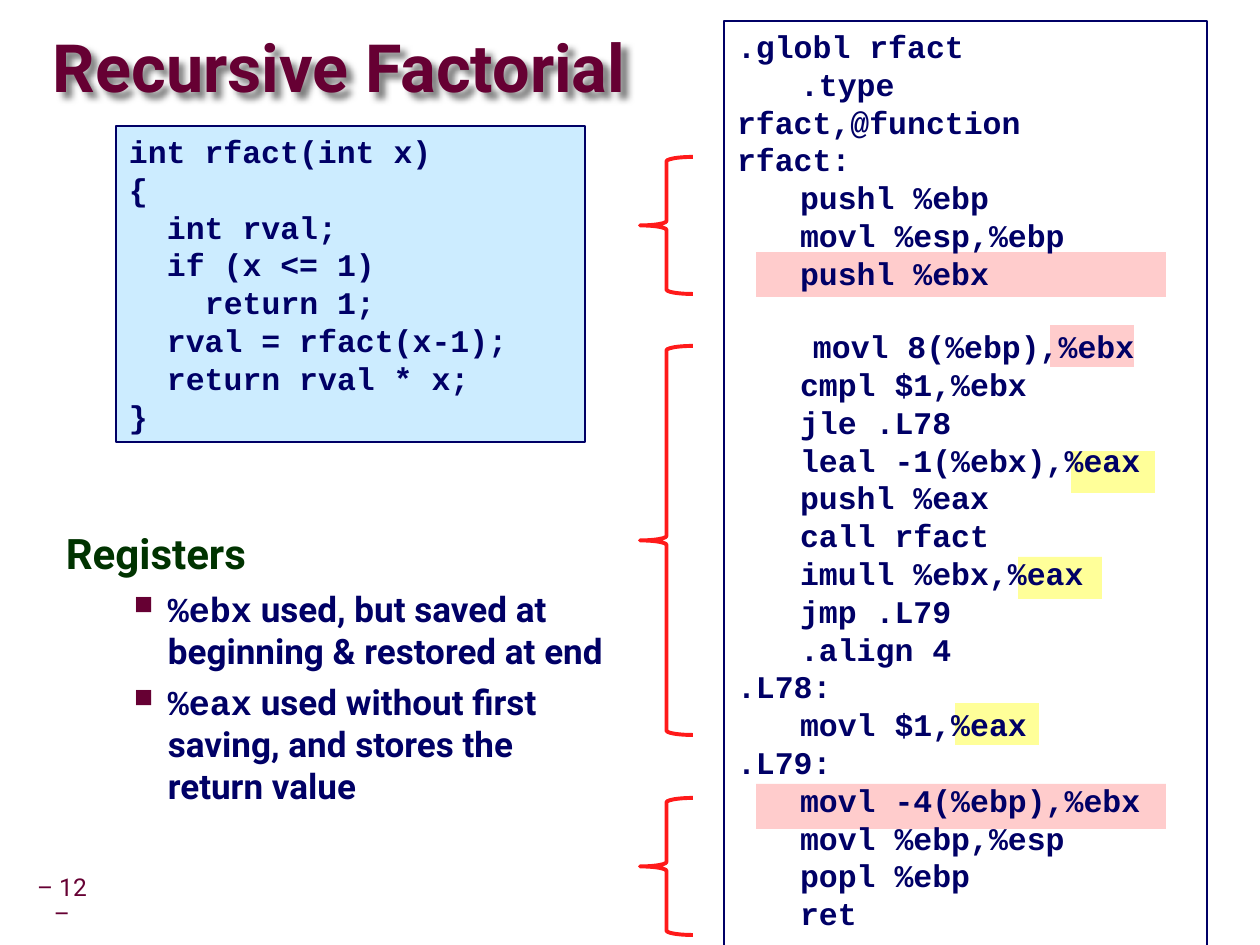
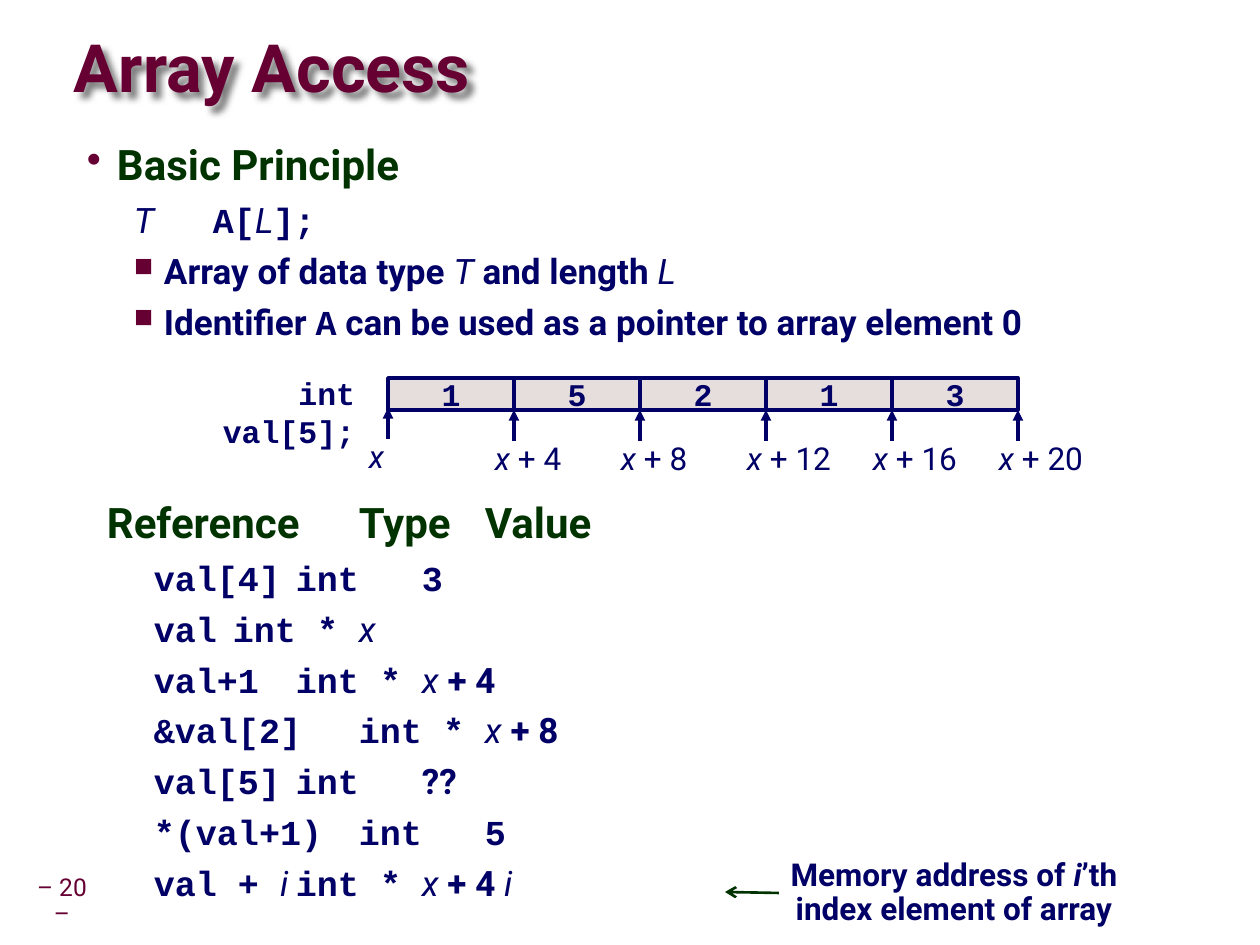
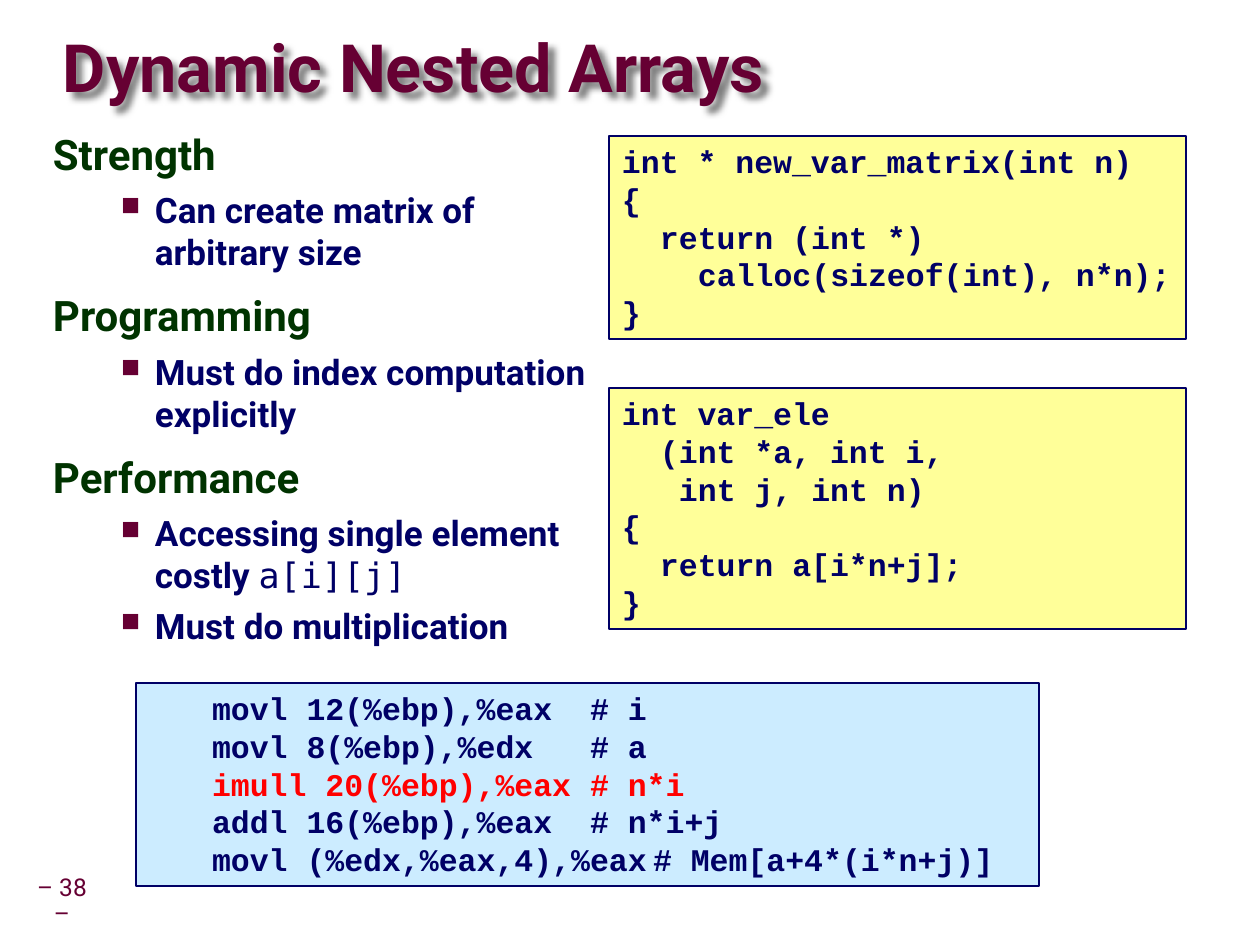
from lxml.etree import SubElement
from pptx import Presentation
from pptx.dml.color import RGBColor
from pptx.enum.shapes import MSO_CONNECTOR, MSO_SHAPE
from pptx.enum.text import MSO_ANCHOR, PP_ALIGN
from pptx.oxml.ns import qn
from pptx.util import Emu, Pt

SCALE = 914400 / 126
WINE = RGBColor(0x66, 0x00, 0x33)
NAVY = RGBColor(0x00, 0x00, 0x66)
GREEN = RGBColor(0x00, 0x33, 0x00)
SKY = RGBColor(0xCC, 0xEC, 0xFF)
LEMON = RGBColor(0xFF, 0xFF, 0x99)
PINK = RGBColor(0xFF, 0xCC, 0xCC)
STONE = RGBColor(0xE6, 0xDD, 0xDD)
SCARLET = RGBColor(0xFF, 0x1A, 0x1A)
RED = RGBColor(0xFF, 0x00, 0x00)
SANS, MONO = "Roboto", "Courier New"
CODE = dict(font=MONO)
VAR = dict(bold=False, italic=True)
CHAR = 19

FACT = """int rfact(int x)
{
  int rval;
  if (x <= 1)
    return 1;
  rval = rfact(x-1);
  return rval * x;
}"""

ASM = """.globl rfact
\t.type\t rfact,@function
rfact:
\tpushl %ebp
\tmovl %esp,%ebp
\tpushl %ebx

    movl 8(%ebp),%ebx
\tcmpl $1,%ebx
\tjle .L78
\tleal -1(%ebx),%eax
\tpushl %eax
\tcall rfact
\timull %ebx,%eax
\tjmp .L79
\t.align 4
.L78:
\tmovl $1,%eax
.L79:
\tmovl -4(%ebp),%ebx
\tmovl %ebp,%esp
\tpopl %ebp
\tret"""

MATRIX = """int * new_var_matrix(int n)
{
  return (int *)
    calloc(sizeof(int), n*n);
}"""

ELEMENT = """int var_ele
  (int *a, int i,
   int j, int n)
{
  return a[i*n+j];
}"""

INDEX = """\tmovl 12(%ebp),%eax\t# i
\tmovl 8(%ebp),%edx\t# a
\timull 20(%ebp),%eax\t# n*i
\taddl 16(%ebp),%eax\t# n*i+j
\tmovl (%edx,%eax,4),%eax\t# Mem[a+4*(i*n+j)]"""


def px(*vals):
    """Turn px lengths into EMU."""
    return [Emu(round(v * SCALE)) for v in vals]


def put(frame, text, font=SANS, size=18, color=NAVY, bold=True, align=None,
        left=0, first=0, before=0, line=None, tabs=(), bullet=None, scale=100):
    """Add one paragraph made of a string or of (text, changes) runs."""
    para = frame.paragraphs[0]
    if para.runs:
        para = frame.add_paragraph()
    para.alignment = align
    para.space_before = Pt(before)
    if line:
        para.line_spacing = line
    props = para._p.get_or_add_pPr()
    for name, val in zip(("marL", "indent"), px(left, first)):
        props.set(name, str(val))
    if bullet:
        tint = SubElement(props, qn("a:buClr"))
        SubElement(tint, qn("a:srgbClr"), val=str(WINE))
        SubElement(props, qn("a:buSzPct"), val=str(scale * 1000))
        SubElement(props, qn("a:buChar"), char=bullet)
    else:
        SubElement(props, qn("a:buNone"))
    if tabs:
        stops = SubElement(props, qn("a:tabLst"))
        for stop in px(*tabs):
            SubElement(stops, qn("a:tab"), pos=str(stop), algn="l")
    base = dict(font=font, color=color, bold=bold, italic=False)
    for part, change in [(text, {})] if isinstance(text, str) else text:
        look = {**base, **change}
        run = para.add_run()
        run.text = part
        run.font.name = look["font"]
        run.font.size = Pt(size)
        run.font.bold = look["bold"]
        run.font.italic = look["italic"]
        run.font.color.rgb = look["color"]


def setup(frame, inset=(13, 6), anchor=MSO_ANCHOR.TOP, wrap=True):
    """Set wrapping, anchor and insets of a text frame."""
    frame.word_wrap = wrap
    frame.vertical_anchor = anchor
    side, end = px(*inset)
    frame.margin_left = frame.margin_right = side
    frame.margin_top = frame.margin_bottom = end
    return frame


def area(slide, box, **opts):
    """Add a text box and return its frame."""
    return setup(slide.shapes.add_textbox(*px(*box)).text_frame, **opts)


def shape(slide, box, fill=None, edge=None, width=1, kind=MSO_SHAPE.RECTANGLE):
    """Add a preset shape without shadow."""
    item = slide.shapes.add_shape(kind, *px(*box))
    item.shadow.inherit = False
    if fill is None:
        item.fill.background()
    else:
        item.fill.solid()
        item.fill.fore_color.rgb = fill
    if edge is None:
        item.line.fill.background()
    else:
        item.line.color.rgb = edge
        item.line.width = Pt(width)
    return item


def arrow(slide, start, end, color, width, head):
    """Add a straight arrow."""
    link = slide.shapes.add_connector(MSO_CONNECTOR.STRAIGHT, *px(*start, *end))
    link.line.color.rgb = color
    link.line.width = Pt(width)
    SubElement(link.line._get_or_add_ln(), qn("a:tailEnd"), type=head)
    SubElement(link._element.spPr, qn("a:effectLst"))


def title(slide, text, left):
    """Add the shadowed slide title."""
    item = slide.shapes.add_textbox(*px(left, 32, 930, 79))
    frame = setup(item.text_frame, inset=(0, 0), anchor=MSO_ANCHOR.MIDDLE)
    put(frame, text, size=38, color=WINE, line=0.87)
    glow = SubElement(item._element.spPr, qn("a:effectLst"))
    shade = SubElement(glow, qn("a:outerShdw"), blurRad="50800", dist="53900",
                       dir="2700000", algn="tl", rotWithShape="0")
    tint = SubElement(shade, qn("a:srgbClr"), val="000000")
    SubElement(tint, qn("a:alpha"), val="50000")


def start(deck, text, left, number):
    """Add a slide with its title and page number."""
    slide = deck.slides.add_slide(deck.slide_layouts[6])
    frame = area(slide, (30, 882, 64, 39), inset=(6, 6), anchor=MSO_ANCHOR.MIDDLE)
    put(frame, f"– {number} –", size=14, color=WINE, bold=False,
        align=PP_ALIGN.CENTER, line=0.9)
    title(slide, text, left)
    return slide


def code(slide, box, text, fill=None, tabs=(), hot=None):
    """Add a framed listing, with indents and gaps as paragraph format."""
    frame = setup(shape(slide, box, fill, NAVY).text_frame)
    gap = 0
    for row in text.splitlines():
        if not row:
            gap = 20.4
            continue
        bare = row.lstrip(" ")
        put(frame, bare, font=MONO, color=RED if hot and hot in row else NAVY,
            align=PP_ALIGN.LEFT, left=(len(row) - len(bare)) * CHAR,
            before=gap, tabs=tabs)
        gap = 0


def head(frame, text, **opts):
    """Add a green heading."""
    put(frame, text, size=24, color=GREEN, before=12, line=0.95, **opts)


def point(frame, text, left=102, first=-34):
    """Add a square-bulleted point."""
    put(frame, text, size=20, left=left, first=first, before=5,
        bullet="■", scale=75)


def cells(slide, x, y, step, tall, vals):
    """Draw the array cells with an address arrow at each edge."""
    for k, val in enumerate(vals):
        cell = shape(slide, (x + k * step, y, step, tall), STONE, NAVY, 2)
        frame = setup(cell.text_frame, anchor=MSO_ANCHOR.MIDDLE, wrap=False)
        put(frame, val, font=MONO, align=PP_ALIGN.CENTER)
    for k in range(len(vals) + 1):
        edge, base = x + k * step, y + tall + (0 if k else -2)
        arrow(slide, (edge, base + 31), (edge, base), NAVY, 2, "triangle")
        runs = [("x ", VAR), (f"+ {4 * k}", {})] if k else [("x", VAR)]
        put(area(slide, (edge - 32, base + 23, 136, 50)), runs, bold=False)


def table(slide, box):
    """List references with their types and values on tab stops."""
    frame = area(slide, box)
    head(frame, "Reference\tType\tValue", tabs=(277, 400))
    rows = [
        [("val[4]\tint\t3", CODE)],
        [("val\tint *\t", CODE), ("x", VAR)],
        [("val+1\tint *\t", CODE), ("x", VAR), (" + 4", {})],
        [("&val[2]\tint *\t", CODE), ("x", VAR), (" + 8", {})],
        [("val[5]\tint\t", CODE), ("??", {})],
        [("*(val+1)\tint\t5", CODE)],
        [("val + ", CODE), ("i\t", VAR), ("int *\t", CODE), ("x ", VAR),
         ("+ 4", {}), (" i", VAR)],
    ]
    for row in rows:
        put(frame, row, size=20, first=47, before=5, tabs=(201, 324, 447))


def factorial(deck):
    """Build the recursive factorial slide."""
    slide = start(deck, "Recursive Factorial", 53, 12)
    for x, y in ((1071, 451), (1018, 557), (955, 703)):
        shape(slide, (x, y, 84, 42), LEMON)
    shape(slide, (1050, 325, 84, 42), PINK)
    for y in (784, 252):
        shape(slide, (756, y, 410, 45), PINK)
    code(slide, (116, 126, 469, 316), FACT, SKY)
    code(slide, (724, 21, 483, 929), ASM, tabs=(72, 150))
    frame = area(slide, (53, 525, 577, 189))
    head(frame, "Registers")
    point(frame, [("%ebx", CODE),
                  (" used, but saved at beginning & restored at end", {})])
    point(frame, [("%eax", CODE),
                  (" used without first saving, and stores the return value", {})])
    for y, tall in ((157, 137), (346, 389), (798, 137)):
        shape(slide, (640, y, 53, tall), None, SCARLET, 2.25, MSO_SHAPE.LEFT_BRACE)


def access(deck):
    """Build the array access slide."""
    slide = start(deck, "Array Access", 74, 20)
    frame = area(slide, (74, 136, 1111, 202))
    head(frame, "Basic Principle", left=30, first=-30, bullet="•")
    put(frame, [("T\t", VAR), ("A[", CODE), ("L", VAR), ("];", CODE)],
        size=20, first=47, before=5, tabs=(84,))
    point(frame, [("Array of data type ", {}), ("T", VAR),
                  (" and length ", {}), ("L", VAR)], 77, -30)
    point(frame, [("Identifier ", {}), ("A", CODE),
                  (" can be used as a pointer to array element 0", {})], 77, -30)
    cells(slide, 388, 378, 126, 32, "15213")
    put(area(slide, (136, 368, 232, 50)), "int val[5];", font=MONO,
        align=PP_ALIGN.RIGHT)
    table(slide, (94, 494, 1111, 202))
    note = area(slide, (764, 853, 380, 82))
    for runs in ([("Memory address of ", {}), ("i", dict(italic=True)), ("’th", {})],
                 "index element of array"):
        put(note, runs, align=PP_ALIGN.CENTER, line=0.9)
    arrow(slide, (779, 893), (725, 892), GREEN, 1.5, "arrow")


def nested(deck):
    """Build the dynamic nested arrays slide."""
    slide = start(deck, "Dynamic Nested Arrays", 63, 38)
    frame = area(slide, (40, 126, 581, 762))
    call = ("a[i][j]", dict(font="DejaVu Sans Mono", bold=False))
    groups = {
        "Strength": ["Can create matrix of arbitrary size"],
        "Programming": ["Must do index computation explicitly"],
        "Performance": [[("Accessing single element costly ", {}), call],
                        "Must do multiplication"],
    }
    for name, points in groups.items():
        head(frame, name)
        for text in points:
            point(frame, text)
    code(slide, (609, 136, 577, 203), MATRIX, LEMON)
    code(slide, (609, 388, 577, 241), ELEMENT, LEMON)
    code(slide, (136, 683, 903, 203), INDEX, SKY, (15, 472), "imull")


def main():
    """Build and save the deck."""
    deck = Presentation()
    deck.slide_width, deck.slide_height = px(1260, 945)
    for build in (factorial, access, nested):
        build(deck)
    deck.save("out.pptx")


if __name__ == "__main__":
    main()
